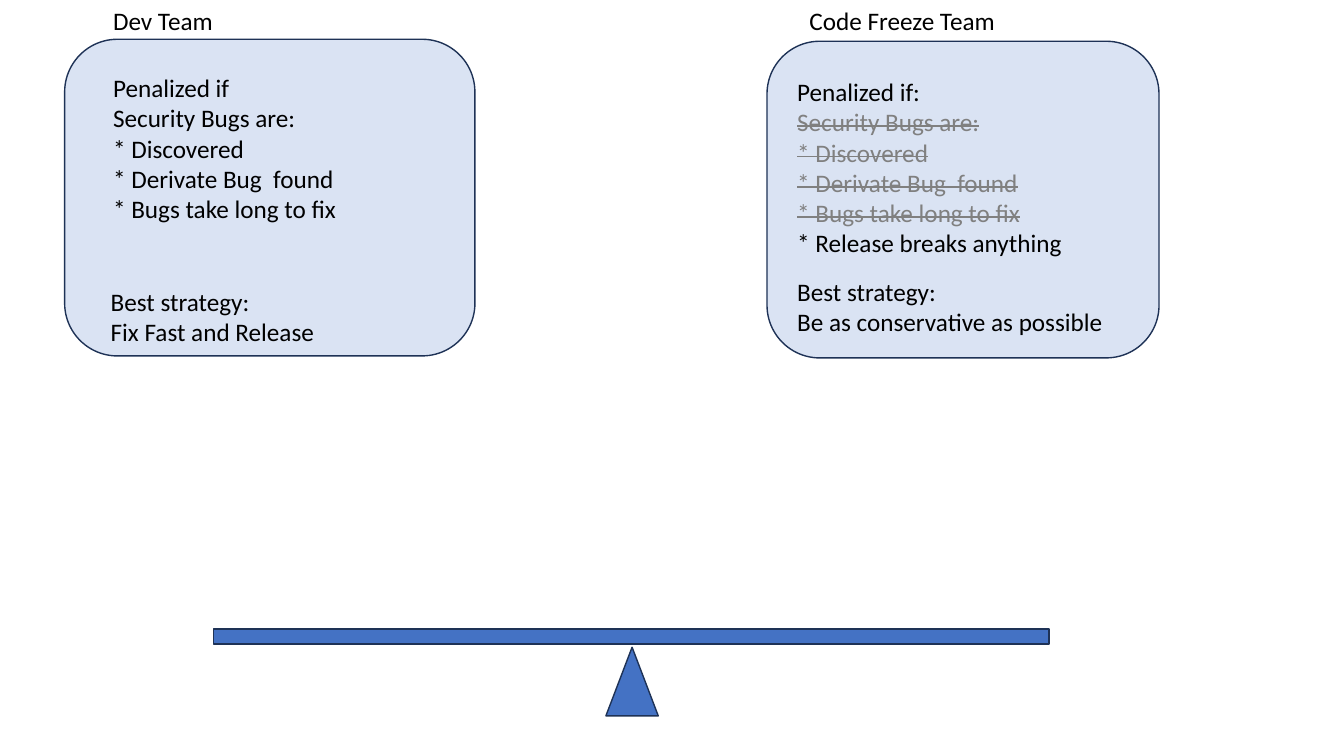
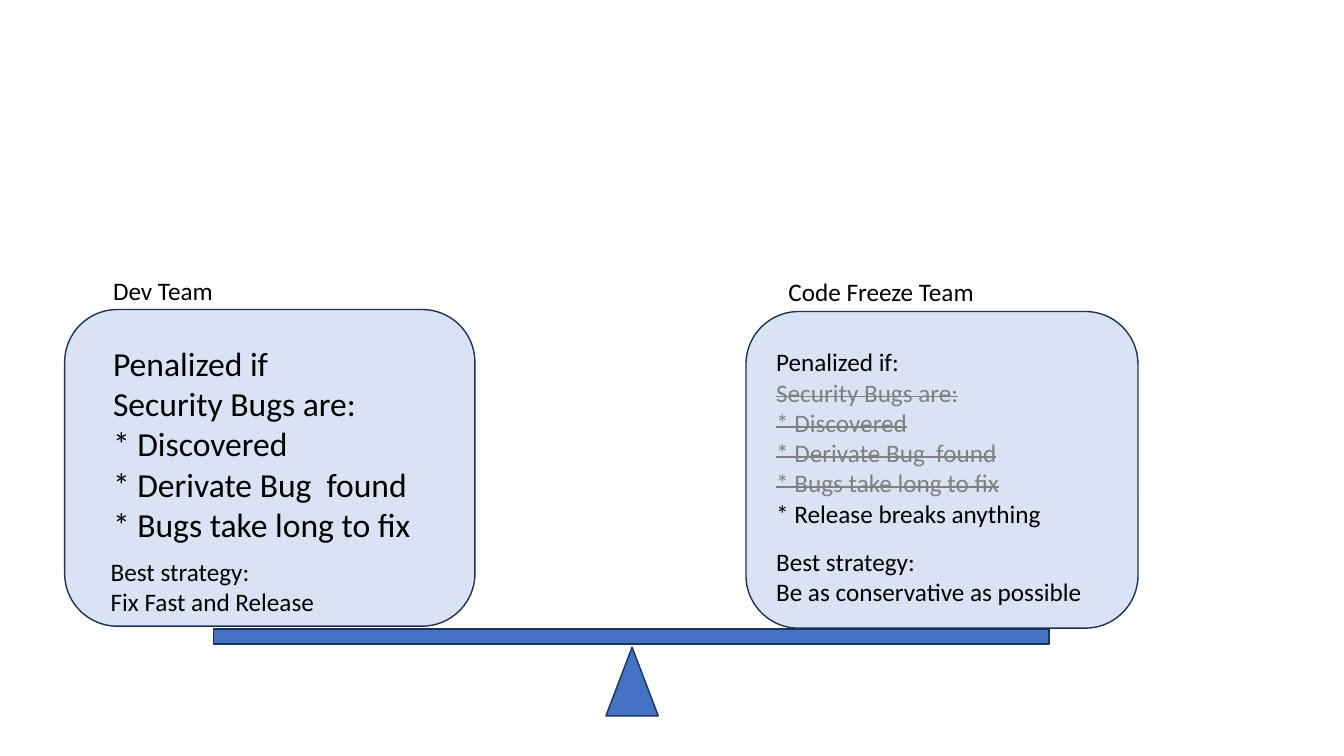
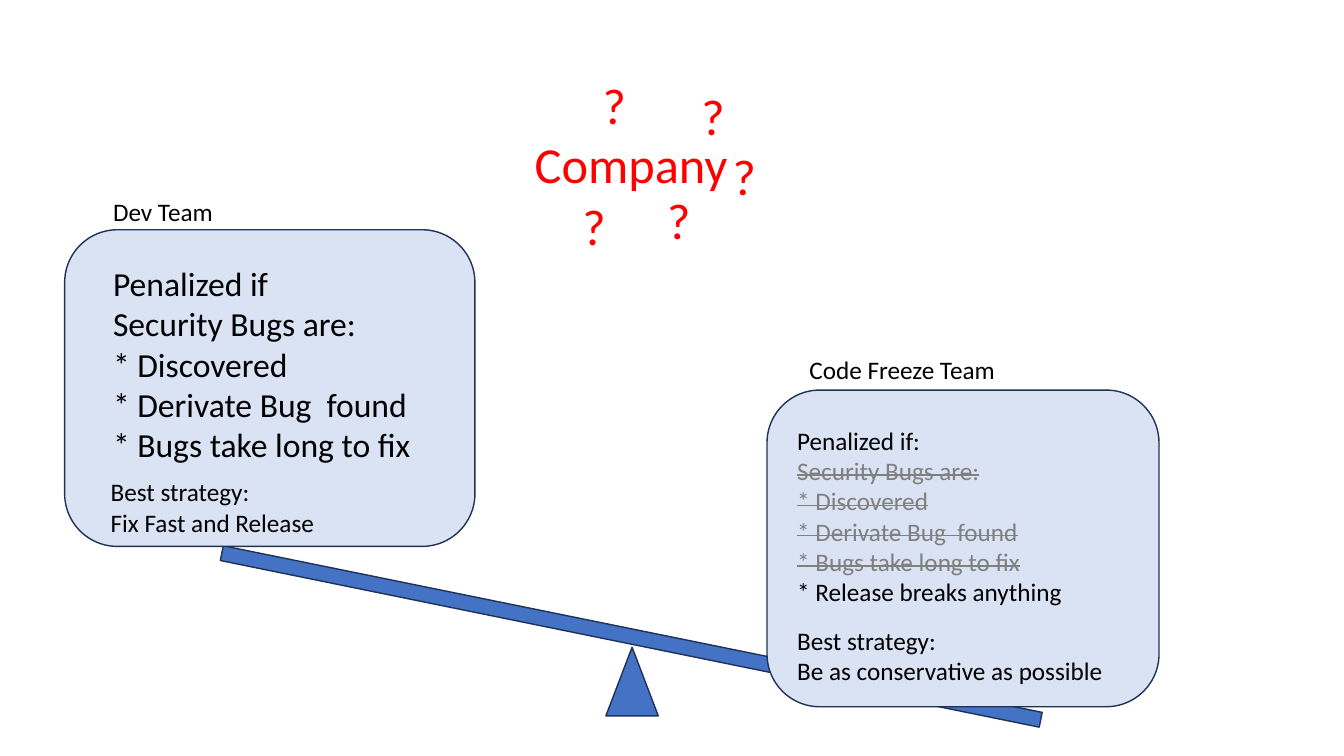
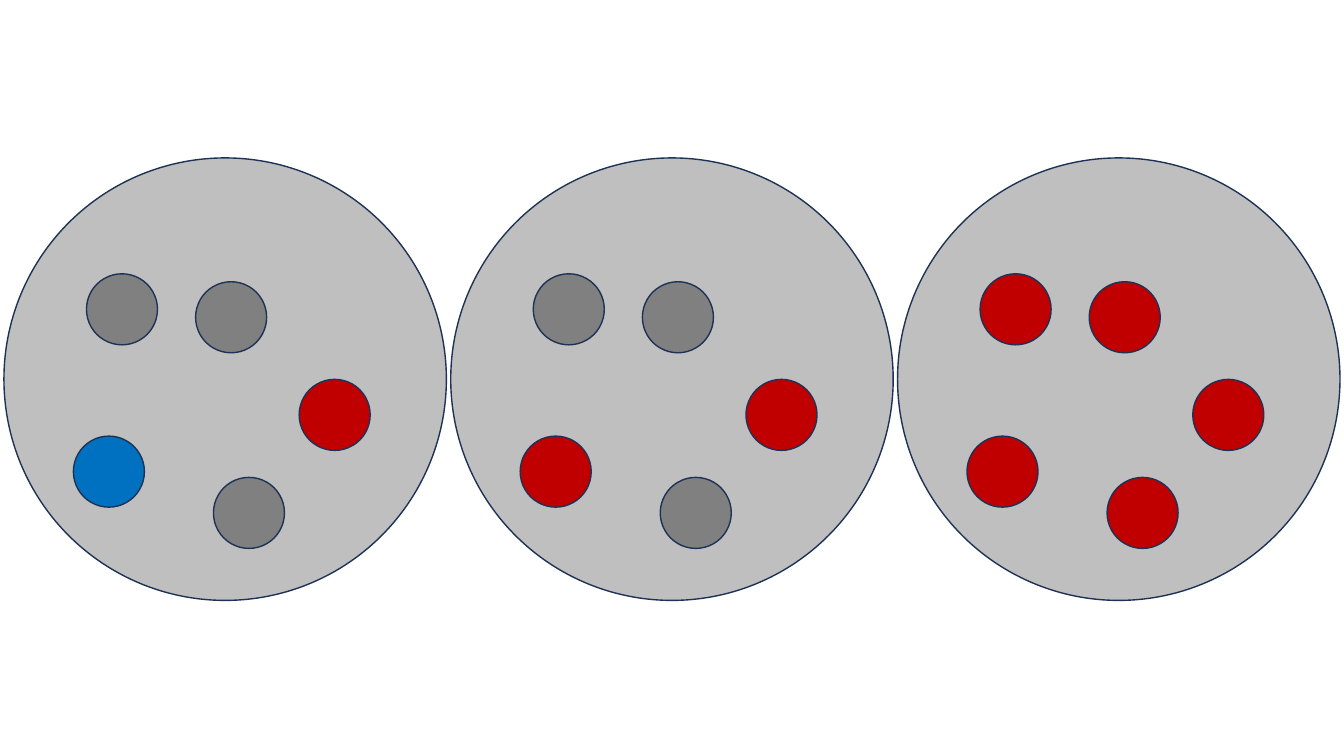
"""Build four slides on release incentives and how they tip the balance."""
import dataclasses

import pptx
import pptx.dml.color
import pptx.enum.shapes
import pptx.enum.text
import pptx.util

Cm = pptx.util.Cm
SHAPE = pptx.enum.shapes.MSO_SHAPE
ALIGN = pptx.enum.text.PP_ALIGN


@dataclasses.dataclass(frozen=True)
class Theme:
    font: str = "Calibri"
    body: int = 18
    emphasis: int = 24
    shout: int = 36
    ink: str = "000000"
    outline: str = "1E3256"
    seesaw: str = "4472C4"
    card: str = "DAE3F3"
    alarm: str = "FF0000"
    dish: str = "BFBFBF"
    grey: str = "808080"
    blue: str = "0070C0"
    red: str = "C00000"


THEME = Theme()


@dataclasses.dataclass(frozen=True)
class Team:
    name: str
    rules: tuple
    strategy: tuple
    width: float
    name_box: tuple
    rules_box: tuple
    strategy_box: tuple
    dropped: tuple = ()
    wrap_rules: bool = False


BUG_RULES = ("Security Bugs are:", "* Discovered", "* Derivate Bug  found",
             "* Bugs take long to fix")

DEV = Team(
    name="Dev Team",
    rules=("Penalized if",) + BUG_RULES,
    strategy=("Best strategy:", "Fix Fast and Release"),
    width=10.34,
    name_box=(0.97, -0.98, 3.05, 1.02),
    rules_box=(0.97, 0.71, 8.05, 4.11),
    strategy_box=(0.91, 6.1, 5.69, 1.8),
    wrap_rules=True,
)
FREEZE = Team(
    name="Code Freeze Team",
    rules=("Penalized if:",) + BUG_RULES + ("* Release breaks anything",),
    strategy=("Best strategy:", "Be as conservative as possible"),
    width=9.88,
    name_box=(0.82, -1.02, 5.23, 1.02),
    rules_box=(0.51, 0.76, 7.26, 4.88),
    strategy_box=(0.51, 5.79, 8.31, 1.8),
    dropped=BUG_RULES,
)

DEV_LEFT = 1.63
CARD_HEIGHT = 7.98

QUESTION_MARKS = ((17.73, 3.53), (16.94, 2.03), (16.08, 4.65), (14.45, 1.75), (13.94, 4.78))

DISH_SIZE = 11.15
DISH_PITCH = 11.26
CELL_SIZE = 1.79
CELL_OFFSETS = ((1.75, 7.01), (7.44, 5.58), (2.08, 2.92), (5.28, 8.05), (4.83, 3.12))
DISHES = (
    (THEME.blue, THEME.red, THEME.grey, THEME.grey, THEME.grey),
    (THEME.red, THEME.red, THEME.grey, THEME.grey, THEME.grey),
    (THEME.red,) * 5,
)


def rgb(colour):
    return pptx.dml.color.RGBColor.from_string(colour)


def add_figure(shapes, kind, box, fill):
    figure = shapes.add_shape(kind, *map(Cm, box))
    figure.shadow.inherit = False
    figure.fill.solid()
    figure.fill.fore_color.rgb = rgb(fill)
    figure.line.color.rgb = rgb(THEME.outline)
    figure.line.width = pptx.util.Pt(1)
    return figure


def add_lines(shapes, box, lines, size=THEME.body, colour=THEME.ink,
              align=ALIGN.LEFT, wrap=False, dropped=()):
    frame = shapes.add_textbox(*map(Cm, box)).text_frame
    frame.word_wrap = wrap
    frame.auto_size = pptx.enum.text.MSO_AUTO_SIZE.SHAPE_TO_FIT_TEXT
    for index, line in enumerate(lines):
        paragraph = frame.add_paragraph() if index else frame.paragraphs[0]
        paragraph.alignment = align
        run = paragraph.add_run()
        run.text = line
        run.font.name = THEME.font
        run.font.size = pptx.util.Pt(size)
        run.font.color.rgb = rgb(THEME.grey if line in dropped else colour)
        if line in dropped:
            run._r.get_or_add_rPr().set("strike", "sngStrike")


def add_team(slide, team, left, top, rules_size=THEME.body):
    shapes = slide.shapes.add_group_shape().shapes

    def placed(box):
        x, y, width, height = box
        return left + x, top + y, width, height

    add_figure(shapes, SHAPE.ROUNDED_RECTANGLE, (left, top, team.width, CARD_HEIGHT), THEME.card)
    add_lines(shapes, placed(team.name_box), [team.name])
    add_lines(shapes, placed(team.rules_box), team.rules, rules_size,
              wrap=team.wrap_rules, dropped=team.dropped)
    add_lines(shapes, placed(team.strategy_box), team.strategy)


def add_seesaw(slide, tilt=0):
    beam = add_figure(slide.shapes, SHAPE.RECTANGLE, (5.38, 15.85, 21.06, 0.38), THEME.seesaw)
    beam.rotation = tilt
    add_figure(slide.shapes, SHAPE.ISOSCELES_TRIANGLE, (15.27, 16.31, 1.32, 1.73), THEME.seesaw)


def add_shout(slide, text, left, top, width):
    add_lines(slide.shapes, (left, top, width, 1.8), [text], THEME.shout, THEME.alarm,
              ALIGN.CENTER, wrap=True)


def add_dish(slide, left, top, cell_colours):
    shapes = slide.shapes.add_group_shape().shapes
    add_figure(shapes, SHAPE.OVAL, (left, top, DISH_SIZE, DISH_SIZE), THEME.dish)
    for (x, y), colour in zip(CELL_OFFSETS, cell_colours):
        add_figure(shapes, SHAPE.OVAL, (left + x, top + y, CELL_SIZE, CELL_SIZE), colour)


def main():
    deck = pptx.Presentation()
    deck.slide_width, deck.slide_height = Cm(33.87), Cm(19.05)
    blank = deck.slide_layouts[6]

    rules_apart = deck.slides.add_slide(blank)
    add_seesaw(rules_apart)
    add_team(rules_apart, DEV, DEV_LEFT, 0.99)
    add_team(rules_apart, FREEZE, 19.33, 1.04)

    balanced = deck.slides.add_slide(blank)
    add_seesaw(balanced)
    add_team(balanced, DEV, DEV_LEFT, 7.8, THEME.emphasis)
    add_team(balanced, FREEZE, 18.8, 7.85)

    tipped = deck.slides.add_slide(blank)
    add_seesaw(tipped, tilt=11.5)
    add_team(tipped, DEV, DEV_LEFT, 5.79, THEME.emphasis)
    add_shout(tipped, "Company", 12.83, 3.23, 6.15)
    for left, top in QUESTION_MARKS:
        add_shout(tipped, "?", left, top, 2.06)
    add_team(tipped, FREEZE, 19.33, 9.83)

    spread = deck.slides.add_slide(blank)
    for index, cell_colours in enumerate(DISHES):
        add_dish(spread, 0.1 + index * DISH_PITCH, 3.98, cell_colours)

    deck.save("out.pptx")


if __name__ == "__main__":
    main()
